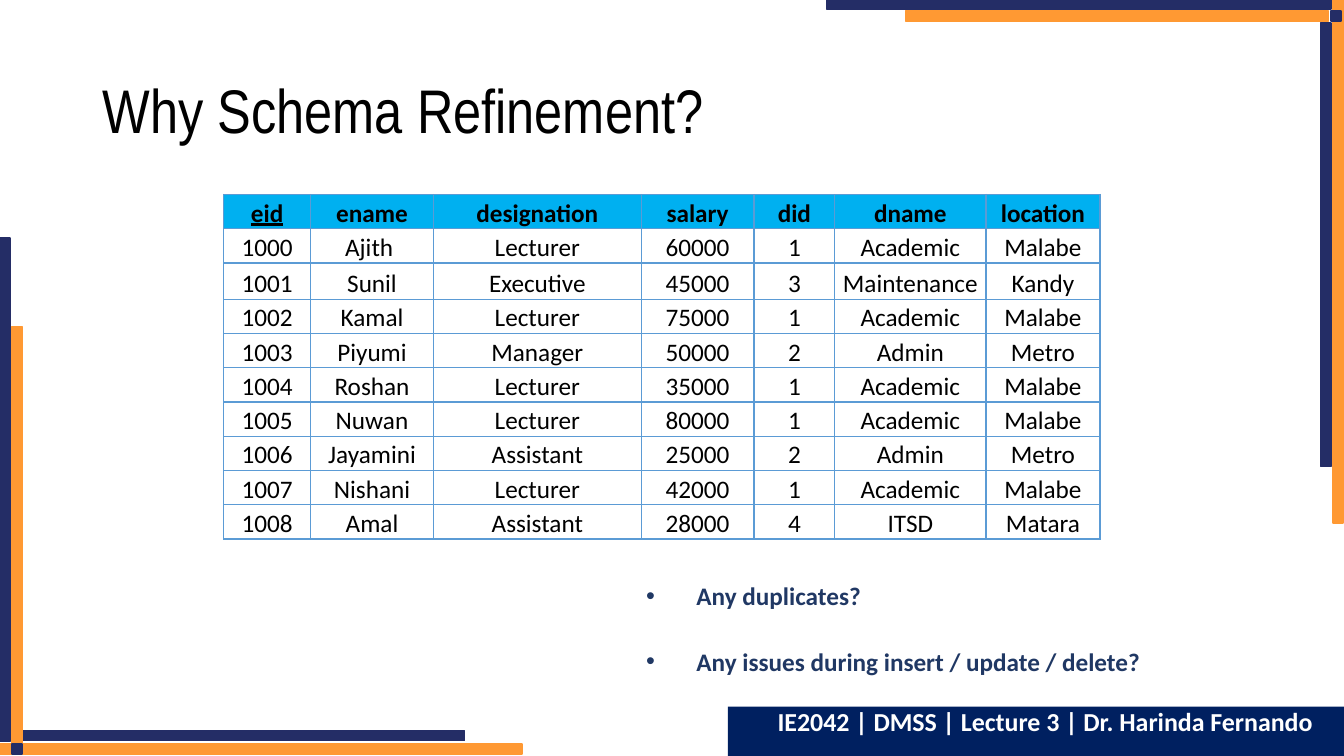
from dataclasses import dataclass

from lxml import etree
from pptx import Presentation
from pptx.dml.color import RGBColor
from pptx.enum.shapes import MSO_SHAPE
from pptx.enum.text import MSO_ANCHOR, PP_ALIGN
from pptx.oxml.ns import qn
from pptx.slide import Slide
from pptx.table import _Cell
from pptx.text.text import _Paragraph
from pptx.util import Inches, Pt

RECTANGLE = MSO_SHAPE.RECTANGLE
MIDDLE = MSO_ANCHOR.MIDDLE
BOTTOM = MSO_ANCHOR.BOTTOM
CENTER = PP_ALIGN.CENTER

ORANGE = RGBColor(0xFF, 0x99, 0x33)
INDIGO = RGBColor(0x24, 0x2D, 0x66)
NAVY = RGBColor(0x00, 0x20, 0x60)
QUESTION_BLUE = RGBColor(0x20, 0x38, 0x64)
HEADER_BLUE = RGBColor(0x00, 0xB0, 0xF0)
GRID_BLUE = RGBColor(0x5B, 0x9B, 0xD5)
BLACK = RGBColor(0x00, 0x00, 0x00)
WHITE = RGBColor(0xFF, 0xFF, 0xFF)

THICKNESS = 0.1


@dataclass(frozen=True)
class Bar:
    left: float
    top: float
    color: RGBColor
    width: float = THICKNESS
    height: float = THICKNESS


BARS = [
    Bar(13.22, -0.01, ORANGE, height=5.2),
    Bar(13.1, 0.23, INDIGO, height=4.4),
    Bar(8.2, -0.01, INDIGO, width=5),
    Bar(8.98, 0.11, ORANGE, width=4.2),
    Bar(13.2, 0.11, INDIGO),
    Bar(-0.02, 7.38, ORANGE, width=5.2),
    Bar(0.21, 7.25, INDIGO, width=4.4),
    Bar(0, 2.36, INDIGO, height=5),
    Bar(0.12, 3.24, ORANGE, height=4.2),
    Bar(0.12, 7.38, INDIGO),
]

COLUMN_WIDTHS = [0.86, 1.22, 2.06, 1.12, 0.8, 1.5, 1.13]
ROW_HEIGHTS = [0.34, 0.34, 0.36] + [0.34] * 7
EMPLOYEES = [
    ["eid", "ename", "designation", "salary", "did", "dname", "location"],
    ["1000", "Ajith ", "Lecturer", "60000", "1", "Academic", "Malabe"],
    ["1001", "Sunil", "Executive", "45000", "3", "Maintenance", "Kandy"],
    ["1002", "Kamal", "Lecturer", "75000", "1", "Academic", "Malabe"],
    ["1003", "Piyumi", "Manager", "50000", "2", "Admin", "Metro"],
    ["1004", "Roshan", "Lecturer", "35000", "1", "Academic", "Malabe"],
    ["1005", "Nuwan", "Lecturer", "80000", "1", "Academic", "Malabe"],
    ["1006", "Jayamini", "Assistant", "25000", "2", "Admin", "Metro"],
    ["1007", "Nishani", "Lecturer", "42000", "1", "Academic", "Malabe"],
    ["1008", "Amal", "Assistant", "28000", "4", "ITSD", "Matara"],
]
QUESTIONS = ["Any duplicates?", "Any issues during insert / update / delete?"]


def format_text(paragraph: _Paragraph, font_name: str, size: float,
                color: RGBColor, bold: bool = False) -> None:
    for run in paragraph.runs:
        run.font.name = font_name
        run.font.size = Pt(size)
        run.font.color.rgb = color
        run.font.bold = bold


def add_bar(slide: Slide, bar: Bar) -> None:
    shape = slide.shapes.add_shape(RECTANGLE, Inches(bar.left), Inches(bar.top),
                                   Inches(bar.width), Inches(bar.height))
    shape.shadow.inherit = False
    shape.fill.solid()
    shape.fill.fore_color.rgb = bar.color
    shape.line.color.rgb = bar.color
    shape.line.width = Pt(1)


def add_title(slide: Slide) -> None:
    title = slide.shapes.add_textbox(Inches(0.92), Inches(0.4), Inches(11.5), Inches(1.45))
    text_frame = title.text_frame
    text_frame.word_wrap = True
    text_frame.vertical_anchor = MIDDLE
    text_frame.text = "Why Schema Refinement?"
    paragraph = text_frame.paragraphs[0]
    paragraph.line_spacing = 0.9
    format_text(paragraph, "Arial Narrow", 44, BLACK)


def add_questions(slide: Slide) -> None:
    box = slide.shapes.add_textbox(Inches(6.31), Inches(5.5), Inches(5.67), Inches(1.31))
    text_frame = box.text_frame
    text_frame.word_wrap = True
    text_frame.text = "\n".join(QUESTIONS)
    for paragraph in text_frame.paragraphs:
        paragraph.line_spacing = 1.7
        paragraph.space_before = Pt(10)
        format_text(paragraph, "Calibri", 18, QUESTION_BLUE, bold=True)
        properties = paragraph._p.get_or_add_pPr()
        properties.set("marL", str(Inches(0.5)))
        properties.set("indent", str(-Inches(0.5)))
        etree.SubElement(properties, qn("a:buFont"), typeface="Arial")
        etree.SubElement(properties, qn("a:buChar"), char="•")


def set_borders(cell: _Cell) -> None:
    properties = cell._tc.get_or_add_tcPr()
    for position, side in enumerate(("a:lnL", "a:lnR", "a:lnT", "a:lnB")):
        line = etree.Element(qn(side), w=str(Pt(1)))
        fill = etree.SubElement(line, qn("a:solidFill"))
        etree.SubElement(fill, qn("a:srgbClr"), val=str(GRID_BLUE))
        properties.insert(position, line)


def format_cell(cell: _Cell, text: str, is_header: bool) -> None:
    cell.margin_left = cell.margin_right = cell.margin_top = Inches(0.01)
    cell.margin_bottom = 0
    cell.vertical_anchor = BOTTOM
    if is_header:
        cell.fill.solid()
        cell.fill.fore_color.rgb = HEADER_BLUE
    else:
        cell.fill.background()
    set_borders(cell)
    cell.text_frame.text = text
    paragraph = cell.text_frame.paragraphs[0]
    paragraph.alignment = CENTER
    format_text(paragraph, "Calibri", 18, BLACK, bold=is_header)


def add_employee_table(slide: Slide) -> None:
    frame = slide.shapes.add_table(
        len(ROW_HEIGHTS), len(COLUMN_WIDTHS), Inches(2.22), Inches(1.93),
        Inches(sum(COLUMN_WIDTHS)), Inches(sum(ROW_HEIGHTS)))
    table = frame.table
    table.horz_banding = False
    for column, width in zip(table.columns, COLUMN_WIDTHS):
        column.width = Inches(width)
    for row, height in zip(table.rows, ROW_HEIGHTS):
        row.height = Inches(height)
    for row_index, employee in enumerate(EMPLOYEES):
        for column_index, text in enumerate(employee):
            format_cell(table.cell(row_index, column_index), text, row_index == 0)
    key_paragraph = table.cell(0, 0).text_frame.paragraphs[0]
    key_paragraph.runs[0].font.underline = True


def add_footer(slide: Slide) -> None:
    footer = slide.shapes.add_shape(RECTANGLE, Inches(7.22), Inches(7.01),
                                    Inches(6.12), Inches(0.49))
    footer.shadow.inherit = False
    footer.fill.solid()
    footer.fill.fore_color.rgb = NAVY
    footer.line.fill.background()
    text_frame = footer.text_frame
    text_frame.word_wrap = True
    text_frame.vertical_anchor = MSO_ANCHOR.TOP
    text_frame.text = "IE2042 | DMSS | Lecture 3 | Dr. Harinda Fernando"
    paragraph = text_frame.paragraphs[0]
    paragraph.alignment = CENTER
    paragraph.line_spacing = 0.8
    paragraph.space_before = Pt(8)
    paragraph._p.get_or_add_pPr().set("marL", str(Inches(0.17)))
    format_text(paragraph, "Calibri", 18.5, WHITE, bold=True)


def main() -> None:
    presentation = Presentation()
    presentation.slide_width = Inches(13.33)
    presentation.slide_height = Inches(7.5)
    slide = presentation.slides.add_slide(presentation.slide_layouts[6])
    for bar in BARS:
        add_bar(slide, bar)
    add_title(slide)
    add_questions(slide)
    add_employee_table(slide)
    add_footer(slide)
    presentation.save("out.pptx")


if __name__ == "__main__":
    main()
